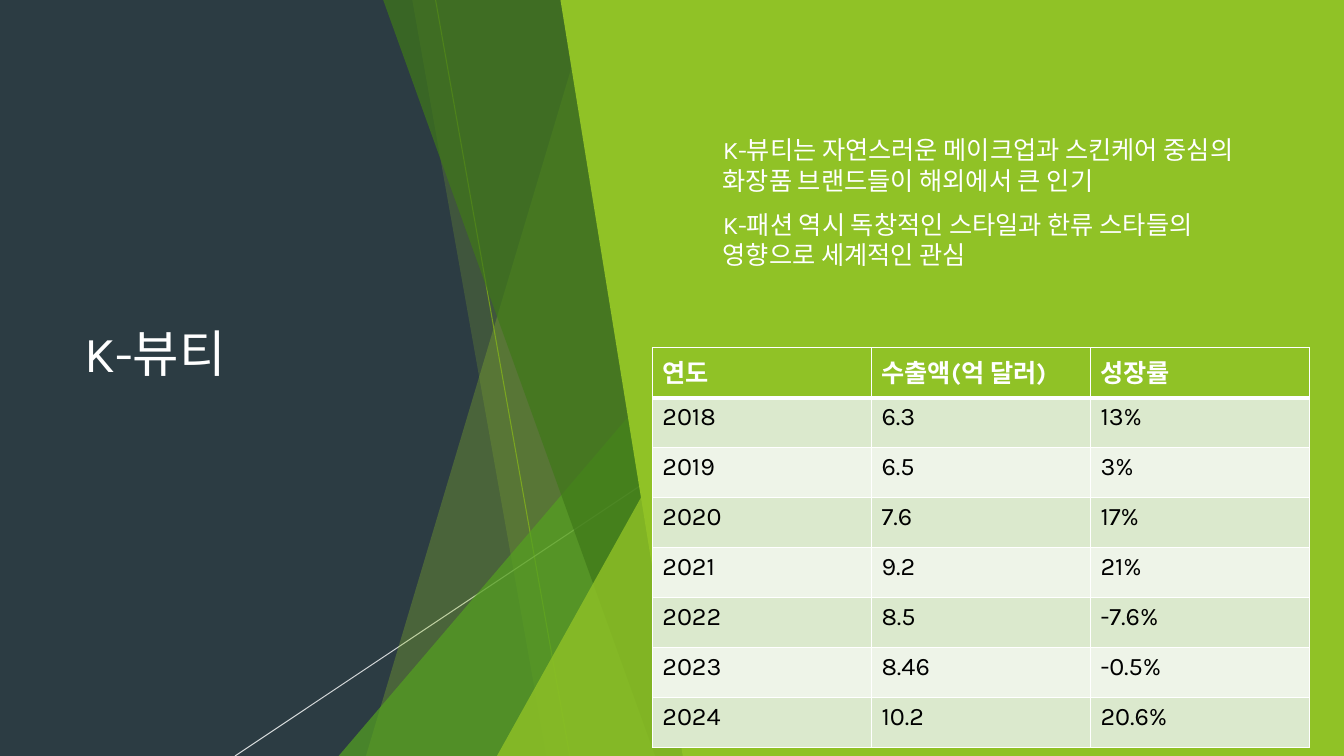
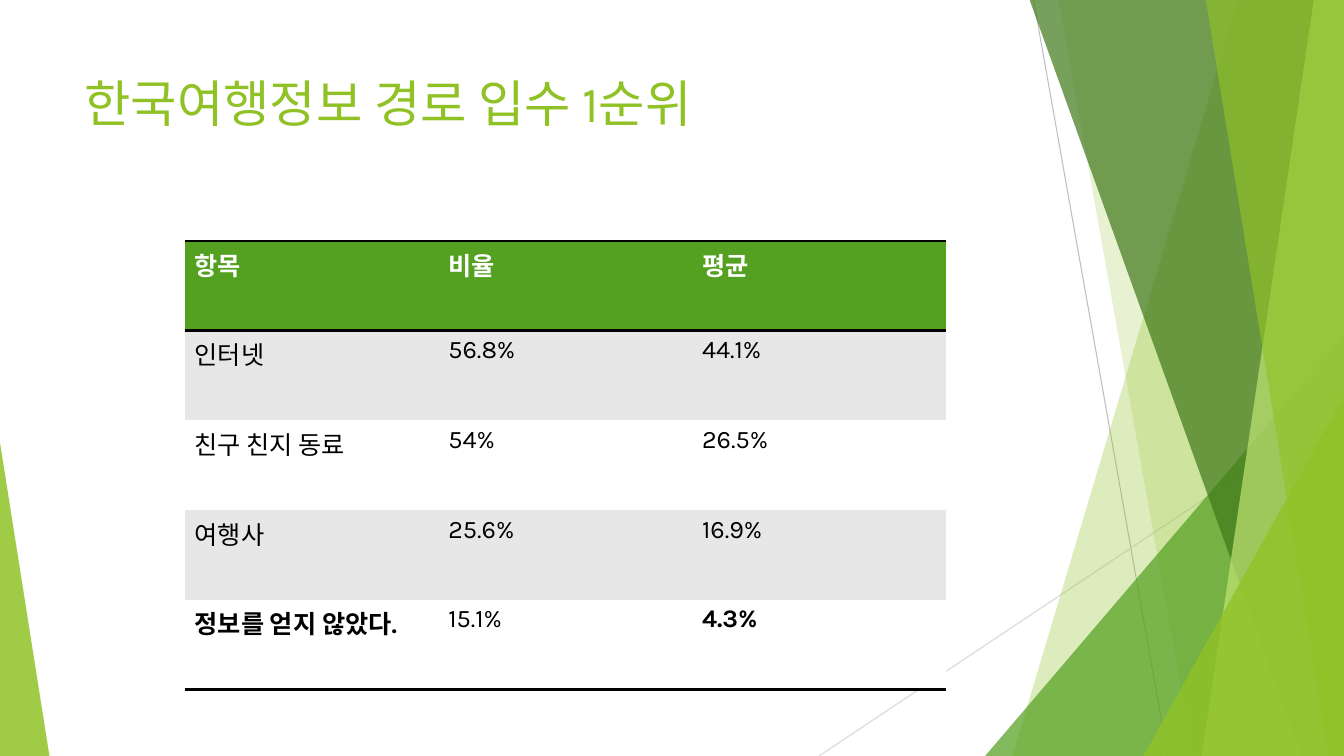
from dataclasses import dataclass

from lxml.etree import SubElement
from pptx import Presentation
from pptx.dml.color import RGBColor
from pptx.enum.shapes import MSO_CONNECTOR, MSO_SHAPE
from pptx.enum.text import MSO_ANCHOR
from pptx.oxml import parse_xml
from pptx.oxml.ns import nsdecls, qn
from pptx.util import Inches, Pt

FONT = "Karla"
LIME = RGBColor(0x90, 0xC2, 0x26)
GREEN = RGBColor(0x54, 0xA0, 0x21)
FOREST = RGBColor(0x3F, 0x78, 0x19)
PALE_LIME = RGBColor(0xC0, 0xE4, 0x74)
OLIVE = RGBColor(0x6C, 0x92, 0x1D)
SLATE = RGBColor(0x2C, 0x3C, 0x43)
WHITE = RGBColor(0xFF, 0xFF, 0xFF)
BLACK = RGBColor(0x00, 0x00, 0x00)
SILVER = RGBColor(0xBF, 0xBF, 0xBF)
LIGHT_GRAY = RGBColor(0xD9, 0xD9, 0xD9)
ROW_GREEN = RGBColor(0xDB, 0xE9, 0xCD)
ROW_MINT = RGBColor(0xEE, 0xF4, 0xE8)
ROW_GRAY = RGBColor(0xE7, 0xE7, 0xE7)


@dataclass
class Box:
    left: int
    top: int
    width: int
    height: int

    def point(self, x, y):
        return (round(self.left + self.width * x / 100),
                round(self.top + self.height * y / 100))

    def region(self, x, y, width, height):
        return Box(*self.point(x, y), round(self.width * width / 100),
                   round(self.height * height / 100))

    def bounds(self):
        return self.left, self.top, self.width, self.height


PAGE = Box(0, 0, Inches(13.33), Inches(7.5))


def set_opacity(shape, percent):
    if percent < 100:
        color = shape.element.find(".//" + qn("a:srgbClr"))
        SubElement(color, qn("a:alpha")).set("val", str(percent * 1000))


def paint(shape, color, opacity=100):
    shape.shadow.inherit = False
    shape.fill.solid()
    shape.fill.fore_color.rgb = color
    shape.line.fill.background()
    set_opacity(shape, opacity)


def add_polygon(slide, box, points, color, opacity=100):
    start, *others = [box.point(x, y) for x, y in points]
    builder = slide.shapes.build_freeform(*start)
    builder.add_line_segments(others, close=True)
    paint(builder.convert_to_shape(), color, opacity)


def add_triangle(slide, box, apex, color, opacity):
    triangle = slide.shapes.add_shape(MSO_SHAPE.ISOSCELES_TRIANGLE, *box.bounds())
    triangle.adjustments[0] = apex
    paint(triangle, color, opacity)


def add_line(slide, start, end, color, opacity=100):
    line = slide.shapes.add_connector(MSO_CONNECTOR.STRAIGHT, *start, *end)
    line.line.color.rgb = color
    line.line.width = Pt(0.75)
    set_opacity(line, opacity)
    SubElement(line.element.spPr, qn("a:effectLst"))


def add_shard(slide, box, top, bottom, color, opacity):
    points = [(top, 0), (100, 0), (100, 100), (bottom, 100)]
    add_polygon(slide, box, points, color, opacity)


def add_facets(slide, box, steep, shallow, with_edge):
    for (color, opacity, shift), start, end in [
            (steep, (13.5, 0), (50.9, 100)),
            (shallow, (100, 53.7), (-46.3, 100))]:
        start, end = [box.point(x + shift, y) for x, y in (start, end)]
        add_line(slide, start, end, color, opacity)
    add_shard(slide, box, 70.5, 7.6, LIME, 30)
    add_shard(slide, box, 20.5, 57.9, LIME, 20)
    add_triangle(slide, box.region(0, 44.4, 100, 55.6), 1, GREEN, 72)
    add_shard(slide, box, 12.4, 88.2, FOREST, 70)
    if with_edge:
        add_shard(slide, box, 91.6, 60.4, PALE_LIME, 70)
        add_shard(slide, box, 61.5, 95.8, LIME, 65)
    add_triangle(slide, box.region(44.1, 52.4, 55.9, 47.6), 1, LIME, 80)


def style(paragraph, size, color, bold=False):
    paragraph.font.name = FONT
    paragraph.font.size = Pt(size)
    paragraph.font.bold = bold
    paragraph.font.color.rgb = color


def add_text(slide, box, lines, size, color, anchor, bulleted=False):
    frame = slide.shapes.add_textbox(*box.bounds()).text_frame
    frame.word_wrap = True
    frame.vertical_anchor = anchor
    frame.text = "\n".join(lines)
    for index, paragraph in enumerate(frame.paragraphs):
        if bulleted:
            add_bullet(paragraph)
        if index:
            paragraph.space_before = Pt(10)
        style(paragraph, size, color)


def add_bullet(paragraph):
    properties = paragraph._p.get_or_add_pPr()
    properties.set("marL", str(Inches(0.38)))
    properties.set("indent", str(-Inches(0.38)))
    color = SubElement(properties, qn("a:buClr"))
    SubElement(color, qn("a:srgbClr")).set("val", str(LIME))
    SubElement(properties, qn("a:buSzPct")).set("val", "80000")
    SubElement(properties, qn("a:buChar")).set("char", "▶")


def set_borders(cell, color, widths):
    properties = cell._tc.get_or_add_tcPr()
    for index, (side, width) in enumerate(zip("LRTB", widths)):
        fill = (f'<a:solidFill><a:srgbClr val="{color}"/></a:solidFill>'
                if width else "<a:noFill/>")
        border = parse_xml(f'<a:ln{side} {nsdecls("a")} w="{Pt(width)}">'
                           f'{fill}</a:ln{side}>')
        properties.insert(index, border)


def add_data_table(slide, box, rows, header_color, bands, border_color,
                   side_width, rules, bold_cells=()):
    table = slide.shapes.add_table(len(rows), len(rows[0]), *box.bounds()).table
    table.horz_banding = False
    for row, values in enumerate(rows):
        for column, value in enumerate(values):
            cell = table.cell(row, column)
            cell.text = value
            cell.fill.solid()
            cell.fill.fore_color.rgb = bands[(row - 1) % 2] if row else header_color
            style(cell.text_frame.paragraphs[0], 18, BLACK if row else WHITE,
                  row == 0 or (row, column) in bold_cells)
            set_borders(cell, border_color,
                        (side_width, side_width, rules[row], rules[row + 1]))


def add_slide(presentation, background):
    slide = presentation.slides.add_slide(presentation.slide_layouts[6])
    slide.background.fill.solid()
    slide.background.fill.fore_color.rgb = background
    return slide


def build_beauty_slide(presentation):
    slide = add_slide(presentation, SLATE)
    add_facets(slide, PAGE.region(25.2, 0, 26.7, 100),
               (OLIVE, 100, 13.5), (WHITE, 80, 17.4), False)
    add_text(slide, PAGE.region(5.55, 8.93, 31.5, 75.47), ["K-뷰티"], 36, WHITE,
             MSO_ANCHOR.MIDDLE)
    add_polygon(slide, PAGE, [(41.7, 0), (100, 0), (100, 100), (50.8, 100)], LIME)
    add_text(slide, PAGE.region(50.19, 8.93, 45.24, 35.6), [
        "K-뷰티는 자연스러운 메이크업과 스킨케어 중심의 화장품 브랜드들이 해외에서 큰 인기",
        "K-패션 역시 독창적인 스타일과 한류 스타들의 영향으로 세계적인 관심",
    ], 18, WHITE, MSO_ANCHOR.MIDDLE, True)
    rows = [
        ("연도", "수출액(억 달러)", "성장률"),
        ("2018", "6.3", "13%"),
        ("2019", "6.5", "3%"),
        ("2020", "7.6", "17%"),
        ("2021", "9.2", "21%"),
        ("2022", "8.5", "-7.6%"),
        ("2023", "8.46", "-0.5%"),
        ("2024", "10.2", "20.6%"),
    ]
    add_data_table(slide, PAGE.region(48.54, 46, 48.9, 52.93), rows, LIME,
                   (ROW_GREEN, ROW_MINT), WHITE, 1, [1, 3] + [1] * 7)


def build_travel_slide(presentation):
    slide = add_slide(presentation, WHITE)
    add_facets(slide, PAGE.region(73.3, 0, 26.7, 100),
               (SILVER, 100, 0), (LIGHT_GRAY, 100, 0), True)
    add_triangle(slide, PAGE.region(0, 58.53, 3.68, 41.47), 0, LIME, 85)
    add_text(slide, PAGE.region(5.55, 8.93, 70.5, 19.2),
             ["한국여행정보 경로 입수 1순위"], 36, LIME, MSO_ANCHOR.TOP)
    rows = [
        ("항목", "비율", "평균"),
        ("인터넷", "56.8%", "44.1%"),
        ("친구 친지 동료", "54%", "26.5%"),
        ("여행사", "25.6%", "16.9%"),
        ("정보를 얻지 않았다.", "15.1%", "4.3%"),
    ]
    add_data_table(slide, PAGE.region(13.73, 31.87, 56.64, 59.33), rows, GREEN,
                   (ROW_GRAY, WHITE), BLACK, 0, [2, 2, 0, 0, 0, 2],
                   {(4, 0), (4, 2)})


def main():
    presentation = Presentation()
    presentation.slide_width = PAGE.width
    presentation.slide_height = PAGE.height
    build_beauty_slide(presentation)
    build_travel_slide(presentation)
    presentation.save("out.pptx")


if __name__ == "__main__":
    main()
